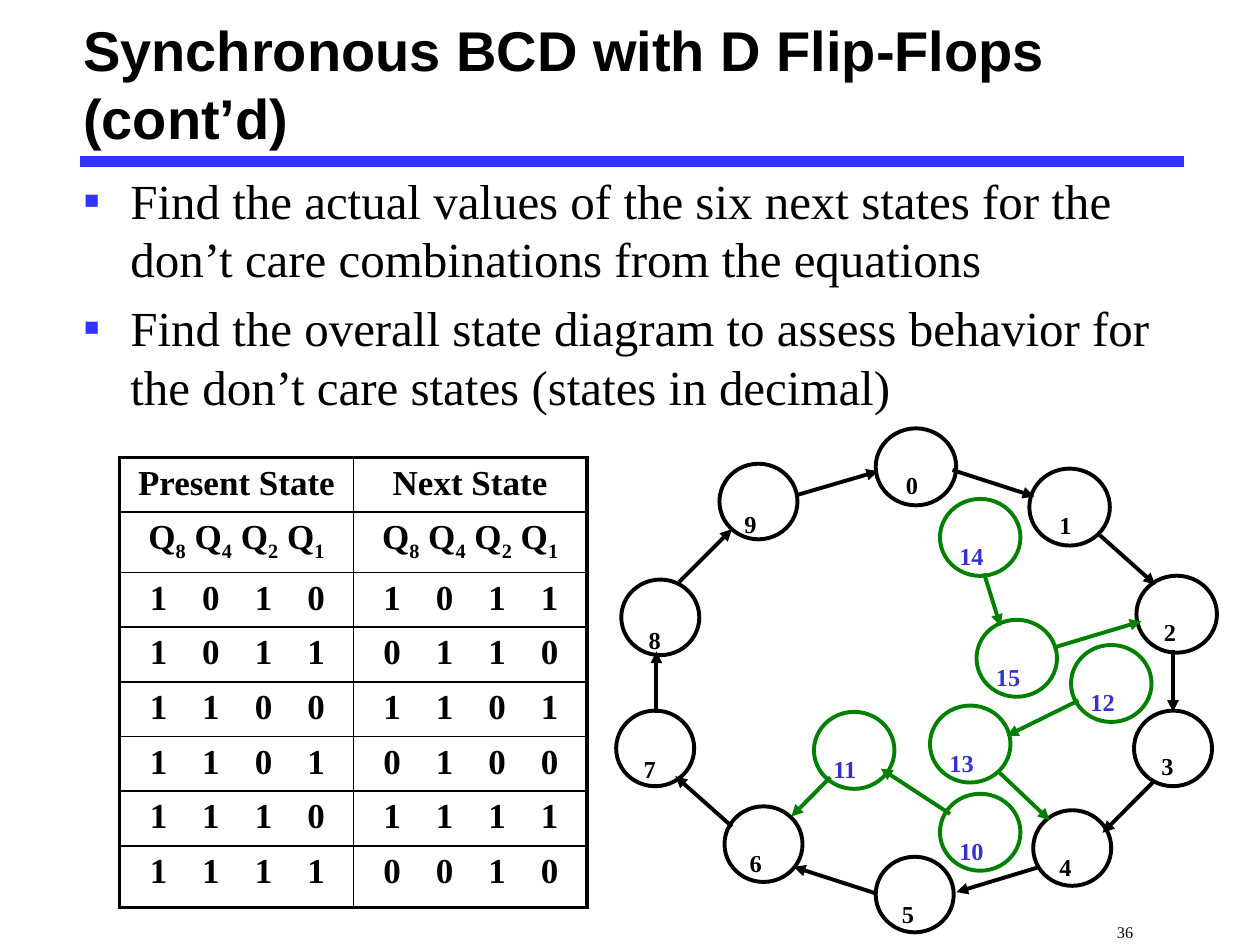
from typing import NamedTuple

from lxml.etree import SubElement
from pptx import Presentation
from pptx.dml.color import RGBColor
from pptx.enum.shapes import MSO_CONNECTOR as Conn, MSO_SHAPE as Shape
from pptx.enum.text import MSO_ANCHOR as Anchor, MSO_AUTO_SIZE as Auto, PP_ALIGN as Align
from pptx.oxml import parse_xml
from pptx.oxml.ns import nsdecls, qn
from pptx.util import Pt

BLACK = RGBColor(0x00, 0x00, 0x00)
BLUE = RGBColor(0x33, 0x33, 0xFF)
INDIGO = RGBColor(0x33, 0x33, 0xCC)
GREEN = RGBColor(0x00, 0x80, 0x00)
SERIF = "Times New Roman"
SUB = -25000
BIG = (46, 44)
SMALL = (44.6, 43.2)


class State(NamedTuple):
    name: str
    x: float
    y: float
    size: tuple[float, float]
    dx: float  # label offset inside the circle
    dy: float


class Arrow(NamedTuple):
    x1: float
    y1: float
    x2: float
    y2: float


VALID = [
    State("0", 500.4, 244.8, BIG, 10.1, 4.3),
    State("1", 588.2, 267.8, BIG, 10.1, 4.3),
    State("2", 649.4, 329, BIG, 8.6, 4.3),
    State("3", 648, 406.1, SMALL, 8.6, 3.6),
    State("4", 590.4, 463, SMALL, 7.9, 4.3),
    State("5", 500.4, 489.6, SMALL, 7.9, 4.3),
    State("6", 414, 460.8, SMALL, 7.2, 4.3),
    State("7", 352.1, 406.1, SMALL, 8.6, 5),
    State("8", 355, 331.2, SMALL, 8.6, 6.5),
    State("9", 411.1, 265, SMALL, 7.2, 6.5),
]
SPARE = [
    State(name, x, y, BIG, 4, 4.7)
    for name, x, y in [
        ("10", 537.1, 453.6), ("11", 465.1, 406.8), ("12", 612, 368.6),
        ("13", 531.4, 403.2), ("14", 537.1, 285.1), ("15", 558, 354.2),
    ]
]
CYCLE = [
    Arrow(544.3, 268.6, 591.1, 283.7),
    Arrow(627.1, 304.6, 660.2, 334.1),
    Arrow(670.3, 371.5, 670.3, 406.8),
    Arrow(658.8, 447.1, 630, 475.9),
    Arrow(594, 495.4, 546.5, 509.8),
    Arrow(500.4, 510.5, 453.6, 495.4),
    Arrow(418.3, 472.3, 385.9, 443.5),
    Arrow(375.1, 407.5, 375.1, 372.2),
    Arrow(388.1, 332.6, 418.3, 302.4),
    Arrow(455, 283, 501.8, 269.3),
]
ENTRY = [
    Arrow(542.9, 465.1, 503.3, 439.2),
    Arrow(474.5, 444.2, 452.2, 466.6),
    Arrow(616.3, 400.3, 575.3, 420.5),
    Arrow(570.2, 440.6, 599.8, 468.7),
    Arrow(562.3, 327.6, 571.7, 357.8),
    Arrow(601.9, 370.1, 652.3, 355),
]
POINTS = [
    "Find the actual values of the six next states for the "
    "don’t care combinations from the equations",
    "Find the overall state diagram to assess behavior for "
    "the don’t care states (states in decimal)",
]
MOVES = [
    ("1010", "1011"), ("1011", "0110"), ("1100", "1101"),
    ("1101", "0100"), ("1110", "1111"), ("1111", "0010"),
]


def place(shape, x: float, y: float, w: float, h: float) -> None:
    shape.left, shape.top, shape.width, shape.height = Pt(x), Pt(y), Pt(w), Pt(h)


def add_run(para, text: str, size: float, color=BLACK, bold=False, font=SERIF, base=0) -> None:
    run = para.add_run()
    run.text = text
    run.font.size, run.font.name, run.font.bold = Pt(size), font, bold
    run.font.color.rgb = color
    if base:
        run._r.get_or_add_rPr().set("baseline", str(base))


def add_label(slide, text: str, x: float, y: float, w: float, size: float, color, bold: bool) -> None:
    box = slide.shapes.add_textbox(Pt(x), Pt(y), Pt(w), Pt(size * 1.5))
    box.text_frame.word_wrap = True
    add_run(box.text_frame.paragraphs[0], text, size, color, bold, base=SUB)


def add_state(slide, state: State, line, ink) -> None:
    w, h = state.size
    ring = slide.shapes.add_shape(Shape.OVAL, Pt(state.x), Pt(state.y), Pt(w), Pt(h))
    ring.shadow.inherit = False
    ring.fill.background()
    ring.line.color.rgb, ring.line.width = line, Pt(2.25)
    add_label(slide, state.name, state.x + state.dx, state.y + state.dy, 38, 24, ink, True)


def add_line(slide, ends: Arrow, color, width: float, head=True) -> None:
    x1, y1, x2, y2 = map(Pt, ends)
    line = slide.shapes.add_connector(Conn.STRAIGHT, x1, y1, x2, y2)
    line.line.color.rgb, line.line.width = color, Pt(width)
    if head:
        SubElement(line.line._get_or_add_ln(), qn("a:tailEnd"), type="triangle")
    SubElement(line._element.spPr, qn("a:effectLst"))


def add_title(slide) -> None:
    title = slide.shapes.title
    place(title, 40.3, 7.2, 651.6, 80.6)
    frame = title.text_frame
    frame.auto_size, frame.vertical_anchor = Auto.NONE, Anchor.MIDDLE
    para = frame.paragraphs[0]
    para.alignment = Align.LEFT
    add_run(para, "Synchronous BCD with D Flip-Flops (cont’d)", 32, bold=True, font="Arial")


def add_points(slide) -> None:
    body = slide.placeholders[1]
    place(body, 40.3, 93.6, 656, 432)
    frame = body.text_frame
    frame.auto_size = Auto.NONE
    for i, text in enumerate(POINTS):
        para = frame.add_paragraph() if i else frame.paragraphs[0]
        para.space_before = Pt(5.6)
        props = para._p.get_or_add_pPr()
        props.set("marL", str(Pt(27)))
        props.set("indent", str(Pt(-27)))
        color = SubElement(props, qn("a:buClr"))
        SubElement(color, qn("a:srgbClr"), val=str(BLUE))
        SubElement(props, qn("a:buFont"), typeface="Arial")
        SubElement(props, qn("a:buChar"), char="▪")
        add_run(para, text, 28)


def set_borders(cell, widths: dict[str, float]) -> None:
    props = cell._tc.get_or_add_tcPr()
    for i, (side, width) in enumerate(widths.items()):
        props.insert(i, parse_xml(
            f'<a:ln{side} {nsdecls("a")} w="{Pt(width)}"><a:solidFill>'
            f'<a:srgbClr val="{BLACK}"/></a:solidFill></a:ln{side}>'))


def fill_bits(cell, para, bits: str) -> None:
    """Write the bits in columns 30 points apart."""
    cell.margin_left = Pt(17.2)
    para.alignment = Align.LEFT
    stops = SubElement(para._p.get_or_add_pPr(), qn("a:tabLst"))
    for i in range(1, len(bits)):
        SubElement(stops, qn("a:tab"), pos=str(Pt(30 * i)), algn="l")
    add_run(para, "\t".join(bits), 20, bold=True)


def add_states_table(slide) -> None:
    rows = [("Present State", "Next State"), ("8421", "8421"), *MOVES]
    last = len(rows) - 1
    table = slide.shapes.add_table(len(rows), 2, Pt(68.4), Pt(261.4), Pt(267), Pt(253.4)).table
    table.first_row = table.horz_banding = False
    for col in table.columns:
        col.width = Pt(133.5)
    for r, texts in enumerate(rows):
        table.rows[r].height = Pt(35.3 if r == last else 31.1)
        for c, text in enumerate(texts):
            cell = table.cell(r, c)
            cell.fill.background()
            set_borders(cell, {
                "L": 1 if c else 2.25, "R": 2.25 if c else 1,
                "T": 1 if r else 2.25, "B": 2.25 if r == last else 1})
            para = cell.text_frame.paragraphs[0]
            para.alignment = Align.CENTER
            if r == 0:
                add_run(para, text, 20, bold=True)
            elif r == 1:
                for i, bit in enumerate(text):
                    add_run(para, " Q" if i else "Q", 20, bold=True)
                    add_run(para, bit, 20, bold=True, base=SUB)
            else:
                fill_bits(cell, para, text)


def main() -> None:
    deck = Presentation()
    deck.slide_width, deck.slide_height = Pt(720), Pt(540)
    slide = deck.slides.add_slide(deck.slide_layouts[1])
    add_line(slide, Arrow(46, 92.2, 676.8, 92.2), BLUE, 6, head=False)
    add_title(slide)
    add_points(slide)
    add_label(slide, "36", 631.2, 512.6, 60, 16, BLACK, False)
    add_states_table(slide)
    for states, arrows, line, ink in [(VALID, CYCLE, BLACK, BLACK), (SPARE, ENTRY, GREEN, INDIGO)]:
        for state in states:
            add_state(slide, state, line, ink)
        for arrow in arrows:
            add_line(slide, arrow, line, 2.25)
    deck.save("out.pptx")


if __name__ == "__main__":
    main()
